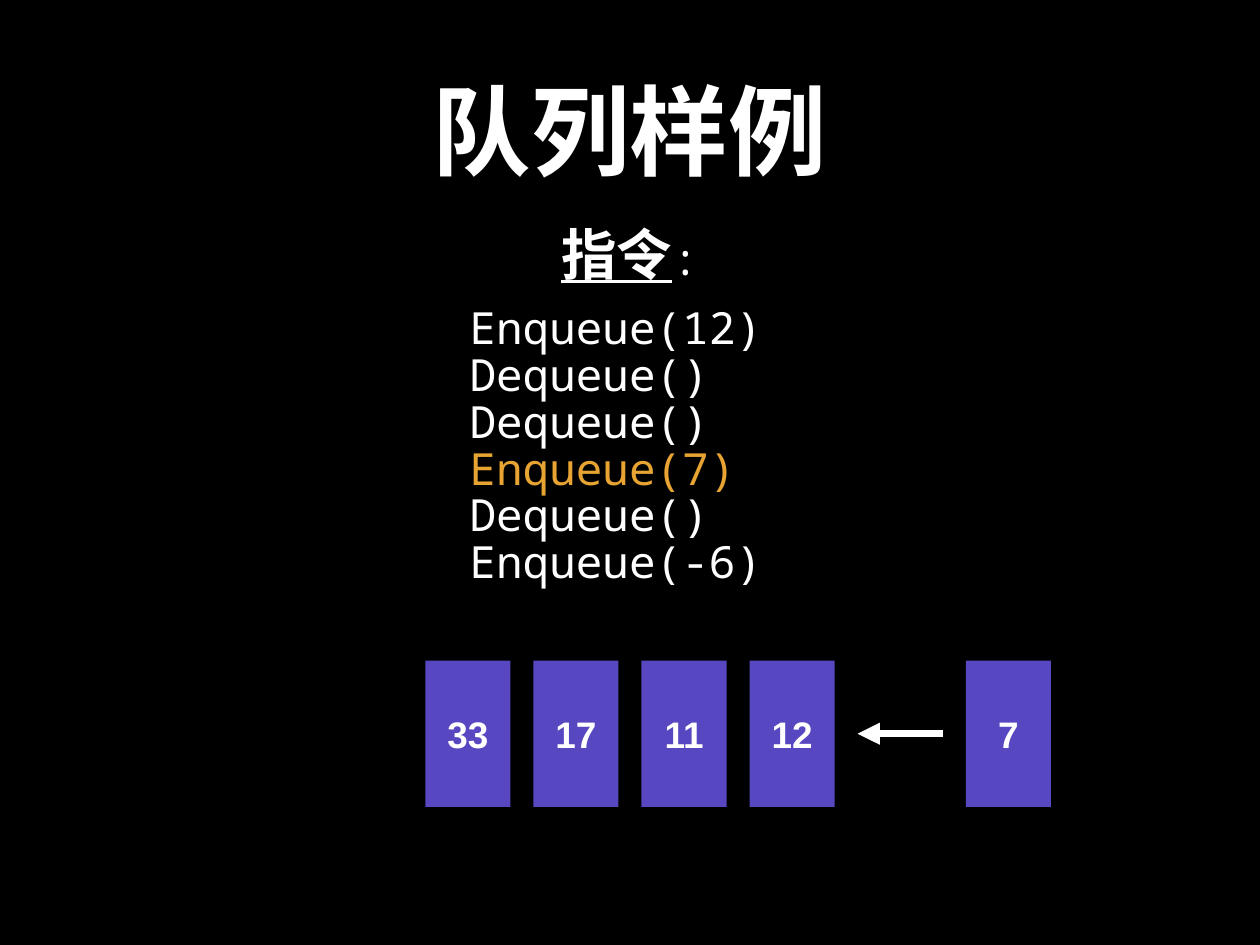
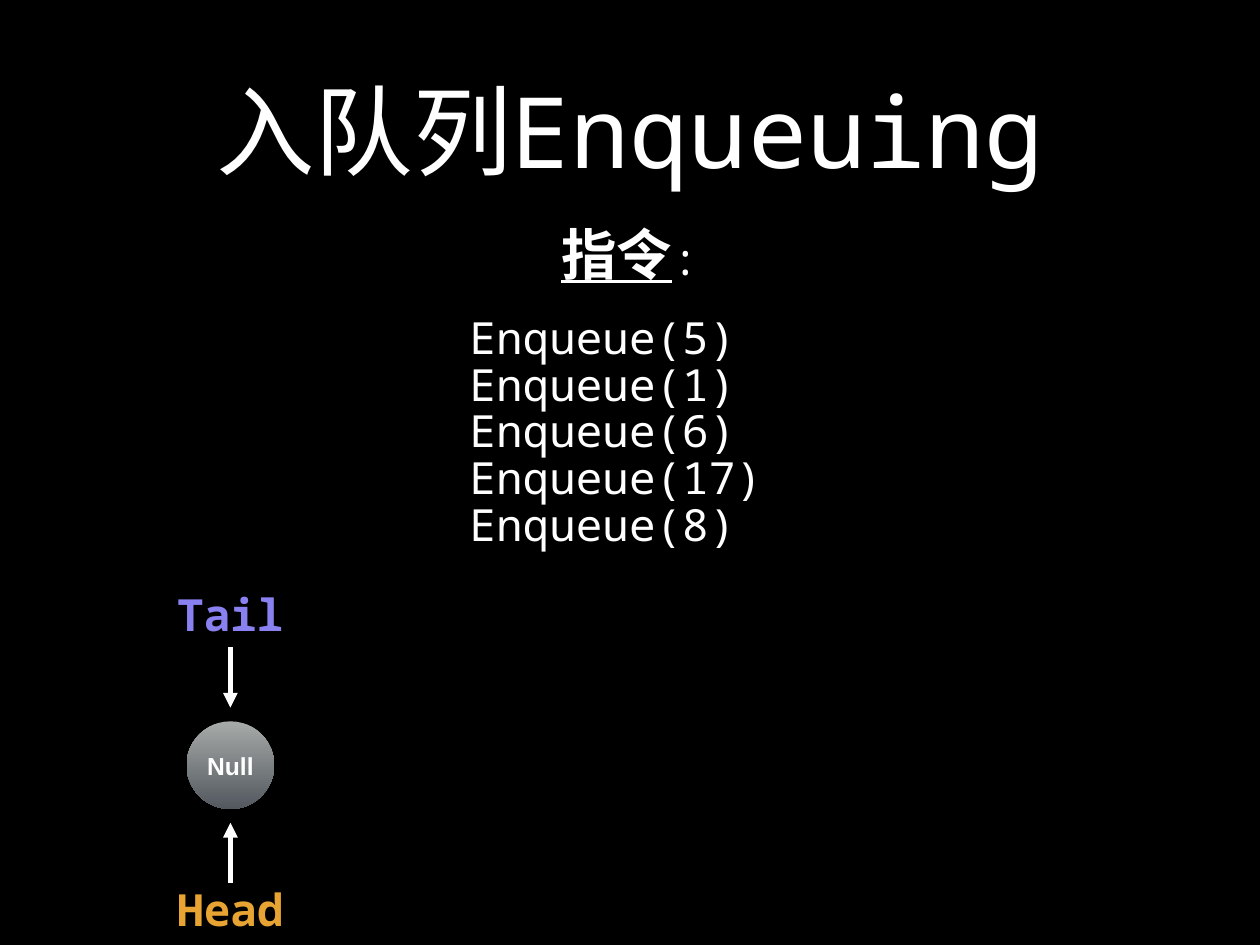
from dataclasses import dataclass

from lxml.etree import SubElement
from pptx import Presentation
from pptx.dml.color import RGBColor
from pptx.enum.shapes import MSO_CONNECTOR, MSO_SHAPE
from pptx.enum.text import MSO_ANCHOR, MSO_AUTO_SIZE, PP_ALIGN
from pptx.oxml.ns import qn
from pptx.util import Inches, Pt


@dataclass(frozen=True)
class Theme:
    background: str = "000000"
    text: str = "FFFFFF"
    accent: str = "E8A432"
    tail: str = "8981F0"
    cell: str = "5747C1"
    node_top: str = "A6AAA8"
    node_bottom: str = "53585F"
    mono: str = "Noto Sans Mono"
    sans: str = "Arial"
    title_size: int = 80
    heading_size: int = 45
    body_size: int = 36
    cell_size: int = 30
    node_size: int = 20
    line_spacing: float = 0.88
    inset: float = 0.06


THEME = Theme()

WIDTH, HEIGHT = 14.22, 10.67
TITLE_BOX = (1.04, 0.28, 12.14, 2.36)
HEADING_BOX = (0.36, 2.42, 13.5, 0.87)
COMMAND_LEFT, COMMAND_WIDTH = 5.24, 3.74

SAMPLE = {
    "title": "队列样例",
    "bold": True,
    "commands": ["Enqueue(12)", "Dequeue()", "Dequeue()",
                 "Enqueue(7)", "Dequeue()", "Enqueue(-6)"],
    "current": 3,
    "top": 3.29,
    "height": 3.53,
}
ENQUEUING = {
    "title": "入队列Enqueuing",
    "bold": False,
    "commands": ["Enqueue(5)", "Enqueue(1)", "Enqueue(6)", "Enqueue(17)", "Enqueue(8)"],
    "current": None,
    "top": 3.42,
    "height": 2.96,
}

QUEUE = ["33", "17", "11", "12", None, "7"]
QUEUE_LEFT, QUEUE_TOP = 4.8, 7.46
CELL_WIDTH, CELL_HEIGHT, CELL_PITCH = 0.96, 1.65, 1.22

NODE_X, NODE_Y, NODE_SIZE = 2.6, 8.64, 0.99
POINTER_NEAR, POINTER_FAR = 0.65, 1.33
POINTERS = [("Tail", THEME.tail, -1, 6.59), ("Head", THEME.accent, 1, 9.92)]
LABEL_WIDTH, LABEL_HEIGHT = 1.33, 0.68


def rgb(value):
    return RGBColor.from_string(value)


def run_of(text, size, color=THEME.text, font=THEME.mono, bold=False, underline=False):
    return text, size, color, font, bold, underline


def write(shape, paragraphs, align=PP_ALIGN.CENTER, wrap=True, grow=False, spacing=None):
    frame = shape.text_frame
    frame.word_wrap = wrap
    frame.auto_size = MSO_AUTO_SIZE.SHAPE_TO_FIT_TEXT if grow else MSO_AUTO_SIZE.NONE
    frame.vertical_anchor = MSO_ANCHOR.MIDDLE
    frame.margin_left = frame.margin_right = Inches(THEME.inset)
    frame.margin_top = frame.margin_bottom = Inches(THEME.inset)
    for index, runs in enumerate(paragraphs):
        paragraph = frame.add_paragraph() if index else frame.paragraphs[0]
        paragraph.alignment = align
        if spacing:
            paragraph.line_spacing = spacing
        for text, size, color, font, bold, underline in runs:
            run = paragraph.add_run()
            run.text = text
            run.font.size = Pt(size)
            run.font.bold = bold
            run.font.underline = underline
            run.font.color.rgb = rgb(color)
            run.font.name = font
            east_asian = SubElement(run.font._element, qn("a:ea"))
            east_asian.set("typeface", font)


def add_text(slide, box, paragraphs, **options):
    write(slide.shapes.add_textbox(*map(Inches, box)), paragraphs, **options)


def add_block(slide, kind, box, label):
    block = slide.shapes.add_shape(kind, *map(Inches, box))
    block.shadow.inherit = False
    block.line.fill.background()
    write(block, [[label]])
    return block


def add_arrow(slide, start, end, weight):
    arrow = slide.shapes.add_connector(
        MSO_CONNECTOR.STRAIGHT, *map(Inches, (*start, *end)))
    arrow.line.color.rgb = rgb(THEME.text)
    arrow.line.width = Pt(weight)
    SubElement(arrow.line._get_or_add_ln(), qn("a:tailEnd")).set("type", "triangle")
    SubElement(arrow._element.spPr, qn("a:effectLst"))


def add_base(deck, content):
    slide = deck.slides.add_slide(deck.slide_layouts[6])
    add_text(slide, TITLE_BOX,
             [[run_of(content["title"], THEME.title_size, bold=content["bold"])]])
    add_text(slide, HEADING_BOX,
             [[run_of("指令", THEME.heading_size, bold=True, underline=True),
               run_of(":", THEME.body_size)]], grow=True)
    commands = [
        [run_of(command, THEME.body_size,
                THEME.accent if index == content["current"] else THEME.text)]
        for index, command in enumerate(content["commands"])]
    add_text(slide, (COMMAND_LEFT, content["top"], COMMAND_WIDTH, content["height"]),
             commands, align=PP_ALIGN.LEFT, wrap=False, grow=True,
             spacing=THEME.line_spacing)
    return slide


def add_queue(slide):
    middle = QUEUE_TOP + CELL_HEIGHT / 2
    for slot, value in enumerate(QUEUE):
        left = QUEUE_LEFT + slot * CELL_PITCH
        if value is None:
            add_arrow(slide, (left + CELL_WIDTH, middle), (left, middle), 6)
            continue
        cell = add_block(slide, MSO_SHAPE.RECTANGLE,
                         (left, QUEUE_TOP, CELL_WIDTH, CELL_HEIGHT),
                         run_of(value, THEME.cell_size, font=THEME.sans, bold=True))
        cell.fill.solid()
        cell.fill.fore_color.rgb = rgb(THEME.cell)


def add_empty_list(slide):
    node = add_block(slide, MSO_SHAPE.OVAL,
                     (NODE_X - NODE_SIZE / 2, NODE_Y - NODE_SIZE / 2, NODE_SIZE, NODE_SIZE),
                     run_of("Null", THEME.node_size, font=THEME.sans, bold=True))
    node.fill.gradient()
    node.fill.gradient_angle = 270
    for stop, color in zip(node.fill.gradient_stops, (THEME.node_top, THEME.node_bottom)):
        stop.color.rgb = rgb(color)
    for name, color, side, top in POINTERS:
        add_text(slide, (NODE_X - LABEL_WIDTH / 2, top, LABEL_WIDTH, LABEL_HEIGHT),
                 [[run_of(name, THEME.body_size, color, bold=True)]],
                 wrap=False, grow=True)
        add_arrow(slide, (NODE_X, NODE_Y + side * POINTER_FAR),
                  (NODE_X, NODE_Y + side * POINTER_NEAR), 4)


def main():
    deck = Presentation()
    deck.slide_width, deck.slide_height = Inches(WIDTH), Inches(HEIGHT)
    backdrop = deck.slide_master.background.fill
    backdrop.solid()
    backdrop.fore_color.rgb = rgb(THEME.background)
    add_queue(add_base(deck, SAMPLE))
    add_empty_list(add_base(deck, ENQUEUING))
    deck.save("out.pptx")


if __name__ == "__main__":
    main()
